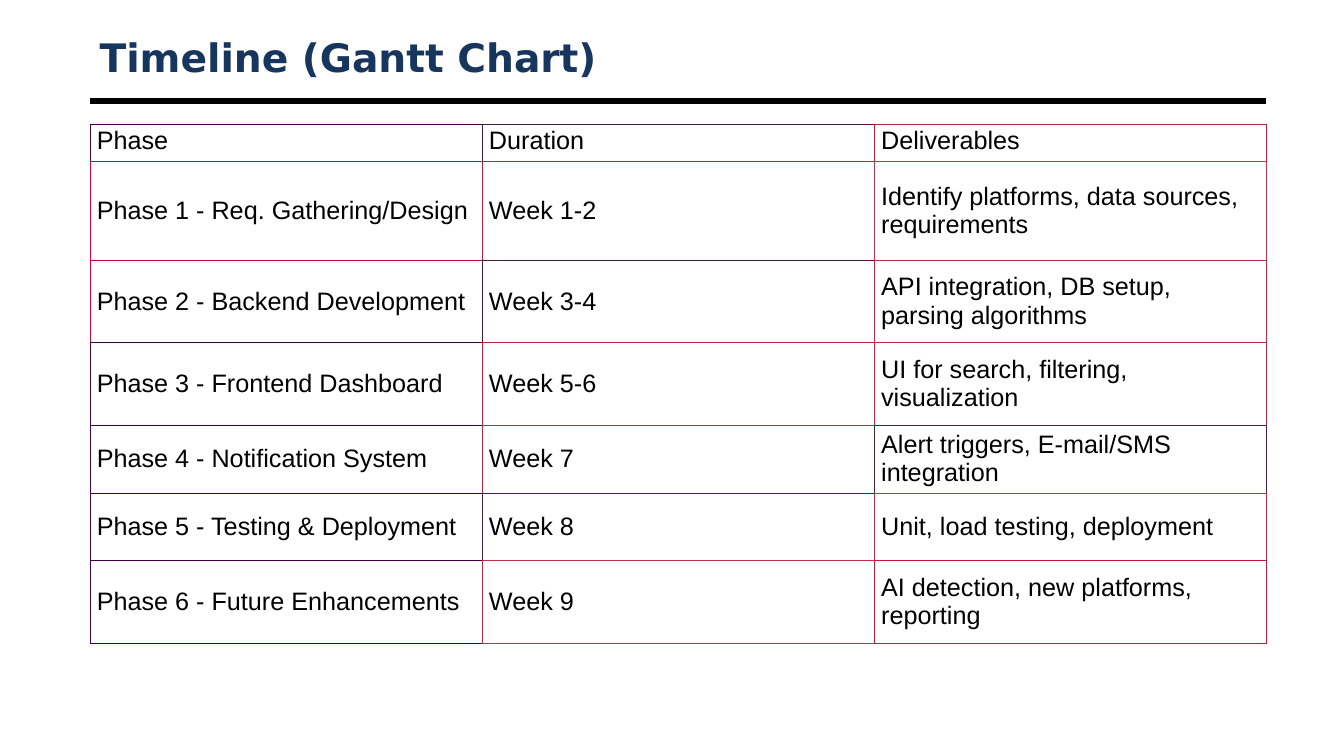
from lxml.etree import SubElement as Sub
from pptx import Presentation
from pptx.dml.color import RGBColor as RGB
from pptx.enum.shapes import MSO_CONNECTOR as Conn
from pptx.enum.text import MSO_ANCHOR as Anchor
from pptx.oxml.ns import qn
from pptx.util import Pt

SCALE = 9144
LEFT, WIDTH = 89, 1167
HEIGHTS = [37, 98, 82, 82, 67, 67, 82]
ROWS = [
    ("Phase", "Duration", "Deliverables"),
    ("Phase 1 - Req. Gathering/Design", "Week 1-2",
     "Identify platforms, data sources, requirements"),
    ("Phase 2 - Backend Development", "Week 3-4",
     "API integration, DB setup, parsing algorithms"),
    ("Phase 3 - Frontend Dashboard", "Week 5-6",
     "UI for search, filtering, visualization"),
    ("Phase 4 - Notification System", "Week 7",
     "Alert triggers, E-mail/SMS integration"),
    ("Phase 5 - Testing & Deployment", "Week 8",
     "Unit, load testing, deployment"),
    ("Phase 6 - Future Enhancements", "Week 9",
     "AI detection, new platforms, reporting"),
]
INKS = [
    ("400244", "401E43", "C01D43"),
    ("C00944", "C01A43", "C03443"),
    ("C00944", "401A43", "C02A43"),
    ("400244", "C01F43", "C02543"),
    ("400244", "C02543", "402343"),
    ("400244", "402343", "C03043"),
    ("400244", "C02E43", "C01A43"),
]


def px(n):
    return n * SCALE


def ink(code):
    return RGB.from_string(code)


def style(frame, face, size, code, bold):
    for run in frame.paragraphs[0].runs:
        font = run.font
        font.name, font.size, font.bold = face, Pt(size), bold
        font.color.rgb = ink(code)


def pad(box, side, edge):
    box.margin_left = box.margin_right = px(side)
    box.margin_top = box.margin_bottom = px(edge)


def add_title(slide, text):
    box = slide.shapes.add_textbox(px(LEFT), px(30), px(WIDTH), px(53))
    frame = box.text_frame
    frame.word_wrap = True
    frame.vertical_anchor = Anchor.MIDDLE
    pad(frame, 10, 5)
    frame.text = text
    style(frame, "DejaVu Sans", 28, "17365D", True)


def add_rule(slide):
    line = slide.shapes.add_connector(
        Conn.STRAIGHT, px(LEFT), px(100), px(LEFT + WIDTH), px(100))
    line.line.color.rgb = ink("000000")
    line.line.width = Pt(4.5)
    Sub(line._element.spPr, qn("a:effectLst"))


def add_edge(cell, tag, code):
    edge = Sub(cell._tc.get_or_add_tcPr(), qn(tag), w=str(Pt(0.38)))
    fill = Sub(edge, qn("a:solidFill"))
    Sub(fill, qn("a:srgbClr"), val=code)


def fill_cell(cell, row, col):
    cell.text = ROWS[row][col]
    style(cell.text_frame, "Arial", 18, "000000", False)
    cell.vertical_anchor = Anchor.MIDDLE if row else Anchor.TOP
    pad(cell, 7, 3)
    own = INKS[row][col]
    right = INKS[row][min(col + 1, len(INKS[0]) - 1)]
    below = INKS[min(row + 1, len(INKS) - 1)][col]
    for tag, code in zip(("a:lnL", "a:lnR", "a:lnT", "a:lnB"),
                         (own, right, own, below)):
        add_edge(cell, tag, code)
    cell.fill.background()


def add_grid(slide):
    count = len(ROWS[0])
    table = slide.shapes.add_table(
        len(ROWS), count, px(LEFT), px(123), px(WIDTH),
        px(sum(HEIGHTS))).table
    table.first_row = table.horz_banding = False
    for col in table.columns:
        col.width = px(WIDTH // count)
    for row, line in enumerate(table.rows):
        line.height = px(HEIGHTS[row])
        for col, cell in enumerate(line.cells):
            fill_cell(cell, row, col)


def main():
    deck = Presentation()
    deck.slide_width, deck.slide_height = px(1333), px(750)
    slide = deck.slides.add_slide(deck.slide_layouts[6])
    add_rule(slide)
    add_title(slide, "Timeline (Gantt Chart)")
    add_grid(slide)
    deck.save("out.pptx")


if __name__ == "__main__":
    main()
